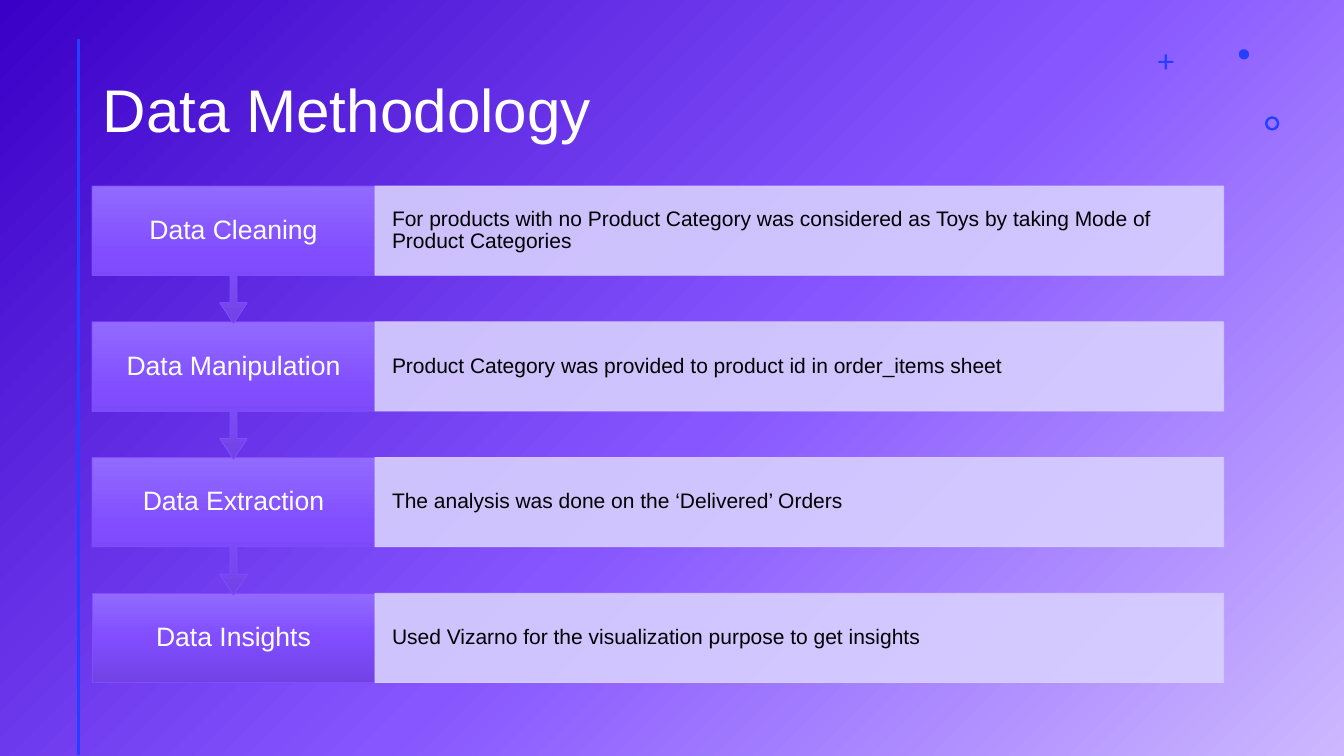
from lxml.etree import SubElement
from pptx import Presentation
from pptx.dml.color import RGBColor
from pptx.enum.shapes import MSO_CONNECTOR, MSO_SHAPE
from pptx.enum.text import MSO_ANCHOR, PP_ALIGN
from pptx.oxml.ns import qn
from pptx.util import Cm, Pt
from dataclasses import dataclass

TITLE = "Data Methodology"
STEPS = [
    ("Data Cleaning", "For products with no Product Category was considered as Toys "
                      "by taking Mode of Product Categories"),
    ("Data Manipulation", "Product Category was provided to product id in order_items sheet"),
    ("Data Extraction", "The analysis was done on the ‘Delivered’ Orders"),
    ("Data Insights", "Used Vizarno for the visualization purpose to get insights"),
]


@dataclass(frozen=True)
class Theme:
    font: str = "Arial"
    title_size: int = 43
    step_size: int = 19
    detail_size: int = 15
    light_text: str = "FFFFFF"
    dark_text: str = "000000"
    accent: str = "243FFF"
    panel: str = "D8D0FF"
    panel_opacity: int = 90
    step_line: str = "814DFF"
    step_stops: tuple = ((0, "916AFF"), (50, "814DFF"), (100, "7242E5"))
    background_stops: tuple = ((0, "CDB8FF"), (46, "8756FF"), (100, "3A00C7"))


THEME = Theme()

# Centimetres
SLIDE_WIDTH, SLIDE_HEIGHT = 33.87, 19.05
STEP_LEFT, STEP_TOP = 2.32, 4.69
STEP_WIDTH, STEP_HEIGHT = 7.13, 2.25
CALLOUT_HEIGHT = 3.46
STEP_PITCH = 3.42
PANEL_WIDTH = 21.39

# Shape, left, top, size, adjustments
ORNAMENTS = [
    (MSO_SHAPE.CROSS, 29.19, 1.37, 0.38, [0.43]),
    (MSO_SHAPE.DONUT, 31.88, 2.93, 0.36, [0.17]),
    (MSO_SHAPE.OVAL, 31.22, 1.24, 0.26, []),
]


def replace_solid_with_gradient(holder, stops):
    """Swap the solid fill inside holder for a gradient and return it."""
    solid = holder.find(qn("a:solidFill"))
    gradient = holder.makeelement(qn("a:gradFill"), {"rotWithShape": "1"})
    holder.replace(solid, gradient)
    stop_list = SubElement(gradient, qn("a:gsLst"))
    for position, color in stops:
        stop = SubElement(stop_list, qn("a:gs"), pos=str(position * 1000))
        SubElement(stop, qn("a:srgbClr"), val=color)
    return gradient


def paint_background(slide):
    slide.background.fill.solid()
    slide.background.fill.fore_color.rgb = RGBColor.from_string(THEME.accent)
    holder = slide.element.find(".//" + qn("p:bgPr"))
    gradient = replace_solid_with_gradient(holder, THEME.background_stops)
    glow = SubElement(gradient, qn("a:path"), {"path": "circle"})
    SubElement(glow, qn("a:fillToRect"), l="100000", t="100000")
    SubElement(gradient, qn("a:tileRect"), r="-100000", b="-100000")


def add_block(slide, kind, left, top, width, height, color, adjustments=()):
    block = slide.shapes.add_shape(kind, Cm(left), Cm(top), Cm(width), Cm(height))
    block.shadow.inherit = False
    block.fill.solid()
    block.fill.fore_color.rgb = RGBColor.from_string(color)
    block.line.fill.background()
    for index, value in enumerate(adjustments):
        block.adjustments[index] = value
    return block


def outline(block, color):
    block.line.color.rgb = RGBColor.from_string(color)
    block.line.width = Pt(0.5)


def write(shape, text, size, color, align, margins):
    """Put one formatted paragraph in shape; margins are horizontal, vertical."""
    frame = shape.text_frame
    frame.text = text
    frame.word_wrap = True
    frame.vertical_anchor = MSO_ANCHOR.MIDDLE
    frame.margin_left = frame.margin_right = Cm(margins[0])
    frame.margin_top = frame.margin_bottom = Cm(margins[1])
    paragraph = frame.paragraphs[0]
    paragraph.alignment = align
    paragraph.line_spacing = 0.9
    font = paragraph.runs[0].font
    font.name = THEME.font
    font.size = Pt(size)
    font.color.rgb = RGBColor.from_string(color)


def add_side_rule(slide):
    rule = slide.shapes.add_connector(
        MSO_CONNECTOR.STRAIGHT, Cm(1.98), Cm(0.98), Cm(1.98), Cm(19.03))
    rule.line.color.rgb = RGBColor.from_string(THEME.accent)
    rule.line.width = Pt(2)
    SubElement(rule.element.spPr, qn("a:effectLst"))


def add_step(slide, top, name, is_last):
    if is_last:
        step = add_block(slide, MSO_SHAPE.RECTANGLE, STEP_LEFT, top,
                         STEP_WIDTH, STEP_HEIGHT, THEME.step_line)
    else:
        step = add_block(slide, MSO_SHAPE.DOWN_ARROW_CALLOUT, STEP_LEFT, top,
                         STEP_WIDTH, CALLOUT_HEIGHT, THEME.step_line,
                         (0.05, 0.1, 0.15, 0.65))
    gradient = replace_solid_with_gradient(step.element.spPr, THEME.step_stops)
    SubElement(gradient, qn("a:lin"), ang="5400000", scaled="0")
    outline(step, THEME.step_line)
    write(step, name, THEME.step_size, THEME.light_text, PP_ALIGN.CENTER, (0.5, 0.38))


def add_detail(slide, top, detail):
    panel = add_block(slide, MSO_SHAPE.RECTANGLE, STEP_LEFT + STEP_WIDTH, top,
                      PANEL_WIDTH, STEP_HEIGHT, THEME.panel)
    outline(panel, THEME.panel)
    for color in panel.element.spPr.iter(qn("a:srgbClr")):
        SubElement(color, qn("a:alpha"), val=str(THEME.panel_opacity * 1000))
    write(panel, detail, THEME.detail_size, THEME.dark_text, PP_ALIGN.LEFT, (0.43, 0.53))


def main():
    presentation = Presentation()
    presentation.slide_width, presentation.slide_height = Cm(SLIDE_WIDTH), Cm(SLIDE_HEIGHT)
    slide = presentation.slides.add_slide(presentation.slide_layouts[6])
    paint_background(slide)
    add_side_rule(slide)
    for kind, left, top, size, adjustments in ORNAMENTS:
        add_block(slide, kind, left, top, size, size, THEME.accent, adjustments)

    title = slide.shapes.add_textbox(Cm(2.34), Cm(1.02), Cm(29.21), Cm(3.68))
    write(title, TITLE, THEME.title_size, THEME.light_text, PP_ALIGN.LEFT, (0.25, 0.13))

    # Last step first, so each arrow tip lies over the step below it
    for index, (name, detail) in reversed(list(enumerate(STEPS))):
        top = STEP_TOP + index * STEP_PITCH
        add_step(slide, top, name, index == len(STEPS) - 1)
        add_detail(slide, top, detail)

    presentation.save("out.pptx")


if __name__ == "__main__":
    main()
